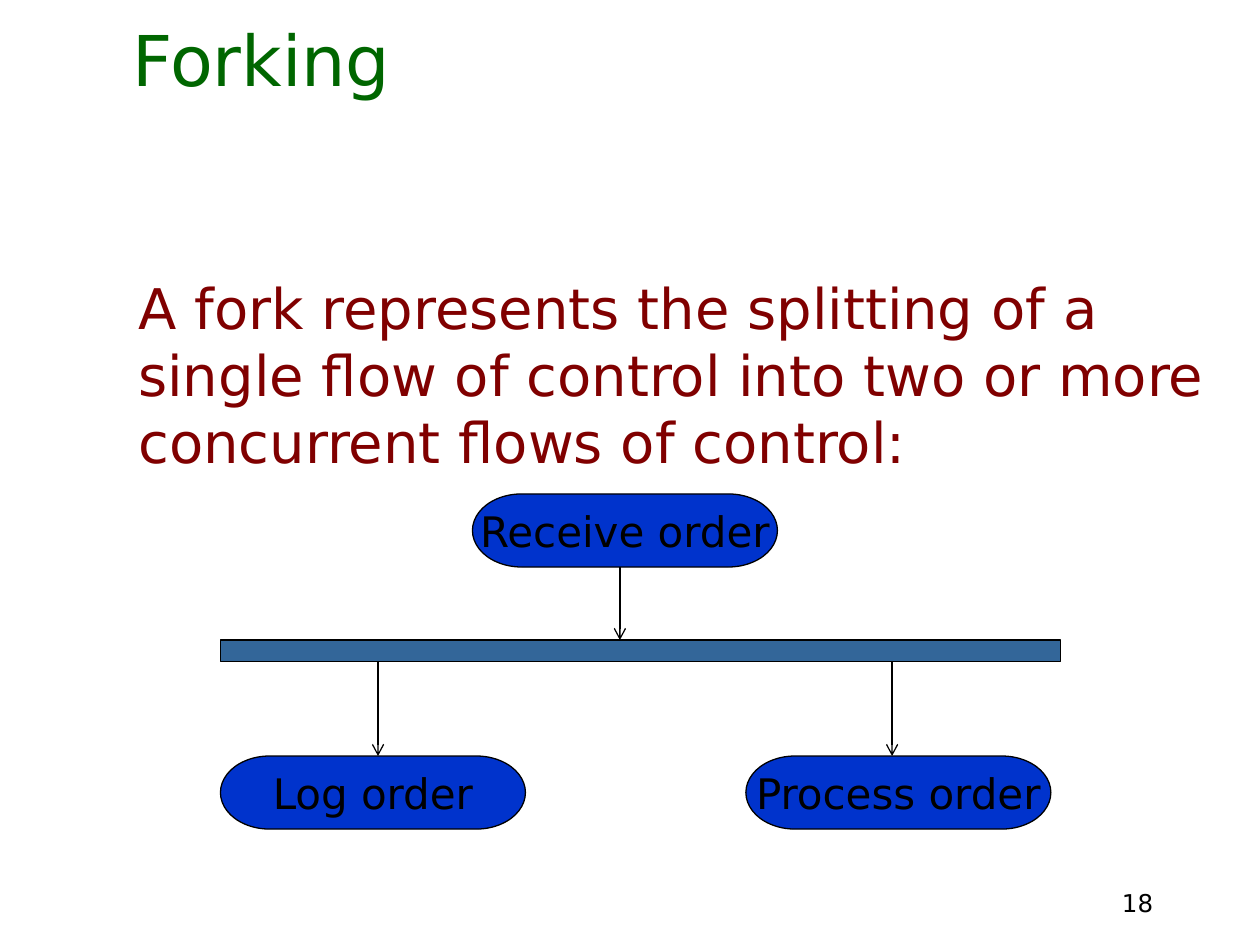
from pptx import Presentation
from pptx.dml.color import RGBColor
from pptx.enum.shapes import MSO_CONNECTOR, MSO_SHAPE
from pptx.enum.text import MSO_ANCHOR, PP_ALIGN
from pptx.oxml.ns import qn
from pptx.util import Inches, Pt
from lxml import etree

TITLE = "Forking"
DEFINITION = ("A fork represents the splitting of a single flow of control "
              "into two or more concurrent flows of control:")
PAGE_NUMBER = "18"
# Activity: label, left, top
ACTIVITIES = [
    ("Receive order", 3.75, 3.92),
    ("Process order", 5.92, 6),
    ("Log order", 1.75, 6),
]
ACTIVITY_SIZE = (2.42, 0.58)
FORK_BAR = (1.75, 5.08, 6.67, 0.17)
# Flow: x, start y, end y
FLOWS = [(4.92, 4.5, 5.08), (7.08, 5.25, 6), (3, 5.25, 6)]

FONT = "DejaVu Sans"
COLORS = {"title": "006600", "definition": "800000", "activity": "0033CC",
          "bar": "336699", "ink": "000000"}


def color(name):
    return RGBColor.from_string(COLORS[name])


def write(shape, text, size, ink, align, anchor, wrap=True):
    frame = shape.text_frame
    frame.text = text
    frame.word_wrap = wrap
    frame.vertical_anchor = anchor
    paragraph = frame.paragraphs[0]
    paragraph.alignment = align
    font = paragraph.runs[0].font
    font.name, font.size = FONT, Pt(size)
    font.color.rgb = color(ink)


def add_box(slide, preset, bounds, fill):
    box = slide.shapes.add_shape(preset, *map(Inches, bounds))
    box.shadow.inherit = False
    box.fill.solid()
    box.fill.fore_color.rgb = color(fill)
    box.line.color.rgb = color("ink")
    box.line.width = Pt(0.75)
    return box


def add_flow(slide, x, start, end):
    flow = slide.shapes.add_connector(
        MSO_CONNECTOR.STRAIGHT, Inches(x), Inches(start), Inches(x), Inches(end))
    flow.line.color.rgb = color("ink")
    flow.line.width = Pt(0.75)
    etree.SubElement(flow.line._get_or_add_ln(), qn("a:tailEnd"), type="arrow")
    etree.SubElement(flow._element.spPr, qn("a:effectLst"))


def main():
    deck = Presentation()
    deck.slide_width, deck.slide_height = Inches(10), Inches(7.5)
    slide = deck.slides.add_slide(deck.slide_layouts[5])

    # Page number, title and definition
    page = slide.shapes.add_textbox(*map(Inches, (7.17, 6.83, 2.08, 0.5)))
    write(page, PAGE_NUMBER, 14, "ink", PP_ALIGN.RIGHT, MSO_ANCHOR.BOTTOM)

    title = slide.shapes.title
    title.left, title.top, title.width, title.height = map(
        Inches, (0.95, 0.08, 8.93, 0.77))
    write(title, TITLE, 40, "title", PP_ALIGN.LEFT, MSO_ANCHOR.BOTTOM)

    definition = slide.shapes.add_textbox(*map(Inches, (1, 2.12, 8.87, 3.63)))
    write(definition, DEFINITION, 32, "definition", PP_ALIGN.LEFT, MSO_ANCHOR.TOP)

    # Activities
    for label, left, top in ACTIVITIES:
        activity = add_box(slide, MSO_SHAPE.FLOWCHART_TERMINATOR,
                           (left, top, *ACTIVITY_SIZE), "activity")
        write(activity, label, 24, "ink", PP_ALIGN.CENTER, MSO_ANCHOR.MIDDLE,
              wrap=False)

    # Fork bar and flows
    add_box(slide, MSO_SHAPE.RECTANGLE, FORK_BAR, "bar")
    for x, start, end in FLOWS:
        add_flow(slide, x, start, end)

    deck.save("out.pptx")


if __name__ == "__main__":
    main()
